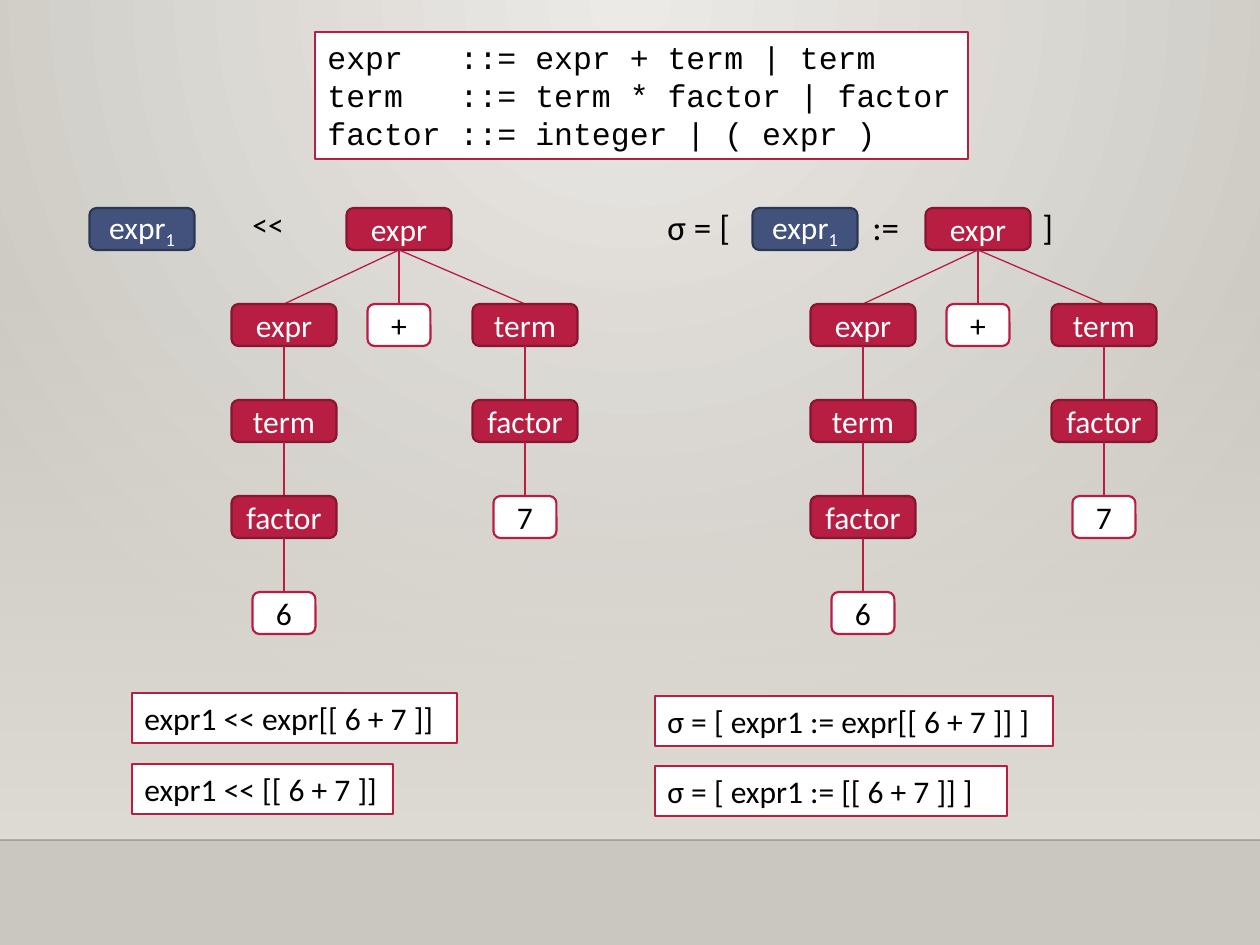
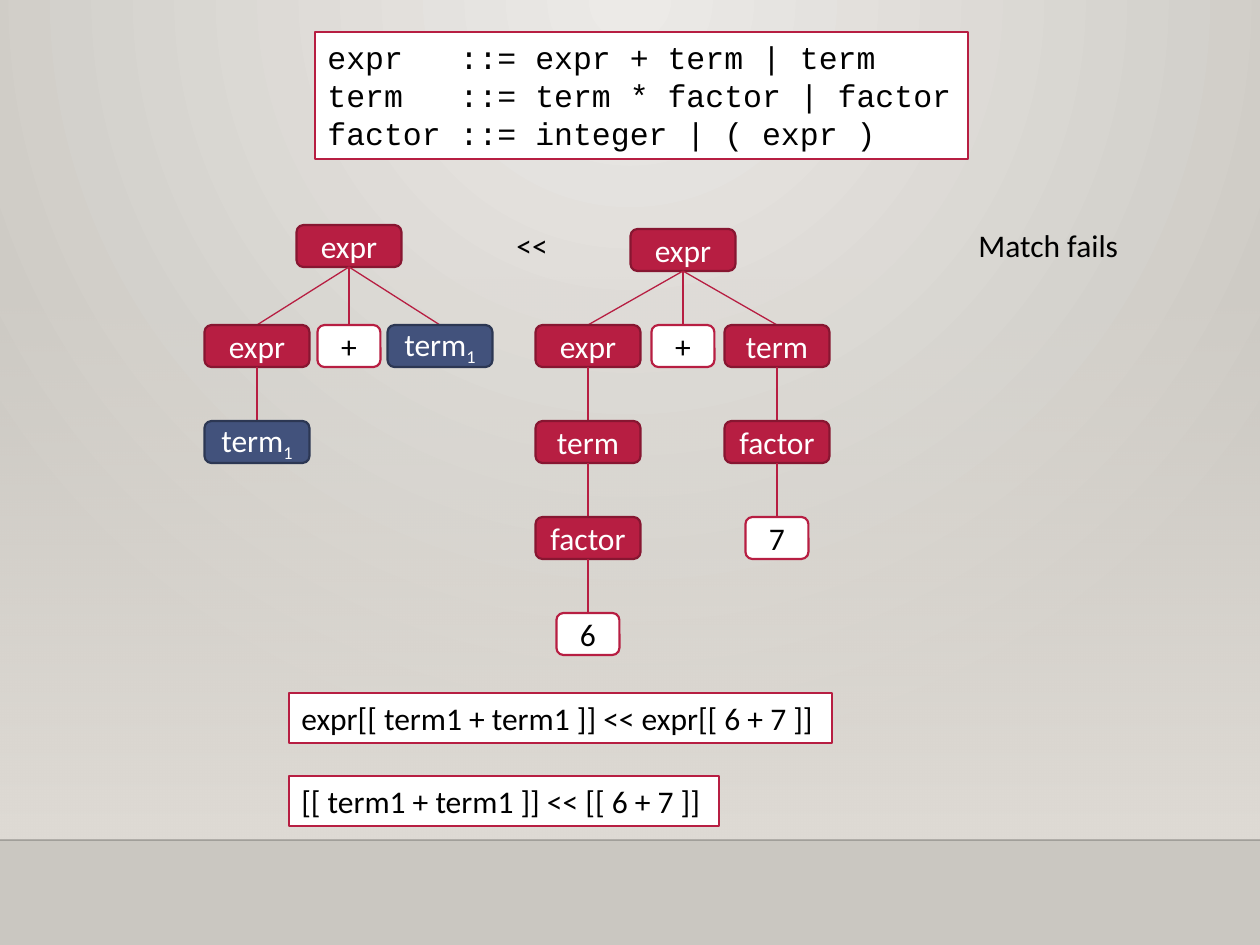
import pptx
import pptx.util
import pptx.dml.color
import pptx.enum.shapes
import pptx.enum.text
import pptx.oxml.ns
from lxml import etree

RGB = pptx.dml.color.RGBColor
RED = RGB(0xB7, 0x1E, 0x42)
WINE = RGB(0x87, 0x16, 0x31)
BLUE = RGB(0x42, 0x52, 0x7C)
NAVY = RGB(0x2C, 0x37, 0x53)
WHITE = RGB(0xFF, 0xFF, 0xFF)
BLACK = RGB(0, 0, 0)
PALE = RGB(0xEC, 0xEA, 0xE7)
STONE = RGB(0xCA, 0xC7, 0xC1)
SAND = RGB(0xDF, 0xDB, 0xD5)

SCALE = pptx.util.Inches(1) / 126
WIDE, TALL = 1260, 945
NODE, LEAF, HIGH, STEP = 105, 63, 42, 96
SHAPE = pptx.enum.shapes.MSO_SHAPE
ALIGN = pptx.enum.text.PP_ALIGN
MIDDLE = pptx.enum.text.MSO_ANCHOR.MIDDLE
qn = pptx.oxml.ns.qn

GRAMMAR = """expr   ::= expr + term | term
term   ::= term * factor | factor
factor ::= integer | ( expr )"""
SUM_LEFT = ["expr", "term", "factor", "6"]
SUM_RIGHT = ["term", "factor", "7"]


def emu(*sizes):
    return [round(size * SCALE) for size in sizes]


def fade(color, alpha):
    tag = color.find(qn("a:srgbClr"))
    etree.SubElement(tag, qn("a:alpha"), val=str(alpha * 1000))


def write(frame, text, size=18, font="Calibri", color=BLACK, align=ALIGN.LEFT, sub=""):
    for i, line in enumerate(text.split("\n")):
        para = frame.paragraphs[0] if i == 0 else frame.add_paragraph()
        para.alignment = align
        for part in filter(None, [line, sub]):
            run = para.add_run()
            run.text = part
            run.font.size = pptx.util.Pt(size)
            run.font.name = font
            run.font.color.rgb = color
        if sub:
            run.font._element.set("baseline", "-25000")


class Deck:
    def __init__(self):
        self.show = pptx.Presentation()
        self.show.slide_width, self.show.slide_height = emu(WIDE, TALL)
        self.slide = None

    def page(self):
        self.slide = self.show.slides.add_slide(self.show.slide_layouts[6])

    def stage(self):
        master = self.show.slide_master
        fill = master.background.fill
        fill.gradient()
        for stop, color in zip(fill.gradient_stops, (PALE, STONE)):
            stop.color.rgb = color
        grad = master.element.find(".//" + qn("a:gradFill"))
        grad.remove(grad.find(qn("a:lin")))
        ring = etree.SubElement(grad, qn("a:path"), path="circle")
        etree.SubElement(ring, qn("a:fillToRect"), l="43000", r="43000", b="100000")

        band = self.box(SHAPE.RECTANGLE, 0, 277, WIDE, 563)
        band.line.fill.background()
        band.fill.gradient()
        band.fill.gradient_angle = 270
        for stop in band.fill.gradient_stops:
            stop.color.rgb = SAND
        fade(next(band._element.iter(qn("a:gs"))), 0)

        edge = self.line(0, 840, WIDE, 840, BLACK, 1)
        fade(next(edge._element.iter(qn("a:solidFill"))), 20)
        for item in (band, edge):
            master.element.cSld.spTree.append(item._element)

    def box(self, kind, x, y, w, h, fill=WHITE, edge=RED, weight=0.75):
        shape = self.slide.shapes.add_shape(kind, *emu(x, y, w, h))
        shape.shadow.inherit = False
        shape.fill.solid()
        shape.fill.fore_color.rgb = fill
        shape.line.color.rgb = edge
        shape.line.width = pptx.util.Pt(weight)
        return shape

    def line(self, x1, y1, x2, y2, color=RED, weight=0.75):
        kind = pptx.enum.shapes.MSO_CONNECTOR.STRAIGHT
        line = self.slide.shapes.add_connector(kind, *emu(x1, y1, x2, y2))
        line.line.color.rgb = color
        line.line.width = pptx.util.Pt(weight)
        etree.SubElement(line._element.spPr, qn("a:effectLst"))
        return line

    def label(self, text, x, y, w, h=50, **style):
        frame = self.box(SHAPE.RECTANGLE, x, y, w, h).text_frame
        frame.word_wrap = True
        frame.vertical_anchor = pptx.enum.text.MSO_ANCHOR.TOP
        write(frame, text, **style)

    def text(self, text, x, y, w, h=50, **style):
        frame = self.slide.shapes.add_textbox(*emu(x, y, w, h)).text_frame
        frame.word_wrap = True
        write(frame, text, **style)

    def node(self, name, mid, top):
        sub = name[-1] if name[-1] == "1" else ""
        w, fill, edge, ink = NODE, RED, WINE, WHITE
        if sub:
            fill, edge = BLUE, NAVY
        elif not name.isalpha():
            w, fill, edge, ink = LEAF, WHITE, RED, BLACK
        shape = self.box(SHAPE.ROUNDED_RECTANGLE, mid - w / 2, top, w, HIGH, fill, edge, 1.25)
        frame = shape.text_frame
        frame.word_wrap = True
        frame.vertical_anchor = MIDDLE
        write(frame, name.removesuffix("1"), color=ink, align=ALIGN.CENTER, sub=sub)

    def chain(self, names, mid, top):
        for i, name in enumerate(names):
            y = top + i * STEP
            if i:
                self.line(mid, y - STEP + HIGH, mid, y)
            self.node(name, mid, y)

    def tree(self, mid, top, left, right, lefts=SUM_LEFT, rights=SUM_RIGHT, drop=STEP):
        self.node("expr", mid, top)
        for x, names in ((left, lefts), (mid, ["+"]), (right, rights)):
            self.line(mid, top + HIGH, x, top + drop)
            self.chain(names, x, top + drop)

    def grammar(self):
        self.label(GRAMMAR, 315, 32, 653, 127, font="Courier New")


def bind(deck):
    deck.grammar()
    for x, mid in ((142, 399), (805, 978)):
        deck.node("expr1", x, 208)
        deck.tree(mid, 208, mid - 115, mid + 126)
    deck.text("<<", 240, 199, 65)
    for part, x, w in (("σ = [", 655, 95), (":=", 860, 60), ("]", 1030, 45)):
        deck.text(part, x, 199, w, 55, size=20)
    deck.label("expr1 << expr[[ 6 + 7 ]]", 132, 693, 325)
    deck.label("expr1 << [[ 6 + 7 ]]", 132, 764, 261)
    deck.label("σ = [ expr1 := expr[[ 6 + 7 ]] ]", 655, 696, 398)
    deck.label("σ = [ expr1 := [[ 6 + 7 ]] ]", 655, 766, 352)


def fail(deck):
    deck.grammar()
    deck.tree(349, 225, 257, 440, ["expr", "term1"], ["term1"], drop=100)
    deck.tree(683, 229, 588, 777)
    deck.text("<<", 504, 220, 65)
    deck.text("Match fails", 966, 220, 180)
    deck.label("expr[[ term1 + term1 ]] << expr[[ 6 + 7 ]]", 289, 693, 543)
    deck.label("[[ term1 + term1 ]] << [[ 6 + 7 ]]", 289, 776, 430)


def main():
    deck = Deck()
    deck.page()
    deck.stage()
    bind(deck)
    deck.page()
    fail(deck)
    deck.show.save("out.pptx")


if __name__ == "__main__":
    main()
